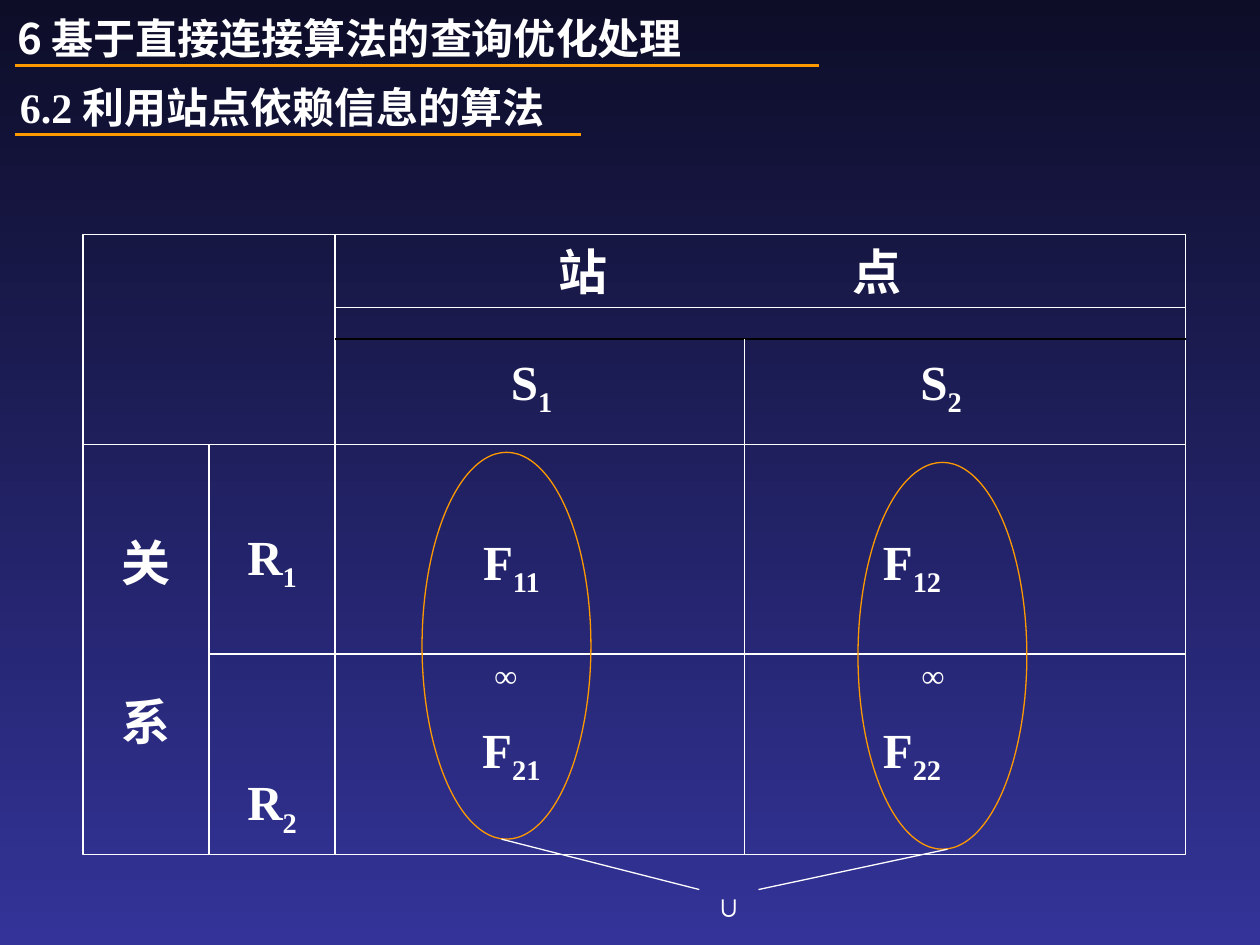
from dataclasses import dataclass

from lxml.etree import SubElement
from pptx import Presentation
from pptx.dml.color import RGBColor
from pptx.enum.shapes import MSO_CONNECTOR, MSO_SHAPE
from pptx.enum.text import MSO_ANCHOR, PP_ALIGN
from pptx.oxml.ns import qn
from pptx.util import Inches, Pt


@dataclass(frozen=True)
class Theme:
    white: str = "FFFFFF"
    black: str = "000000"
    orange: str = "FF9900"
    top: str = "0D0D28"
    bottom: str = "333399"
    latin: str = "Times New Roman"
    chinese: str = "Noto Sans CJK SC"
    heading: int = 24
    label: int = 28
    symbol: int = 18
    rule: float = 1.5
    grid: float = 0.75


THEME = Theme()

# Grid lines of the table, left to right and top to bottom
X = (0.66, 1.66, 2.66, 5.91, 9.41)
Y = (1.86, 2.44, 2.69, 3.53, 5.19, 6.78)
# Column, row, column, row, colour
GRID_LINES = [
    (2, 0, 2, 5, THEME.white),
    (0, 3, 4, 3, THEME.white),
    (2, 2, 4, 2, THEME.black),
    (1, 3, 1, 5, THEME.white),
    (1, 4, 4, 4, THEME.white),
    (3, 2, 3, 5, THEME.white),
]

TITLE = [("6 基于直接连接算法的查询优化处理", THEME.chinese)]
SUBTITLE = [("6.2 ", THEME.latin), ("利用站点依赖信息的算法", THEME.chinese)]
HEADING_RULES = [(6.5, 0.52), (4.61, 1.07)]
HEADER = ["站", "点"]
# Rows of labels ("_" starts a subscript), box, tab stops, space between rows
LABEL_BLOCKS = [
    ([["关"], ["系"]], (X[0], 4.18, 1, 2.1), (), 57),
    ([["S_1", "S_2"]], (X[2], 2.74, 6.75, 0.57), (1.46, 4.71), 0),
    ([["F_11", "F_12"], ["F_21", "F_22"]], (X[2], 4.17, 6.75, 2), (1.3, 4.48), 69),
    ([["R_1"], ["R_2"]], (X[1], 4.13, 1, 2.5), (), 102),
]
ELLIPSE_SIZE = (1.34, 3.07)
ELLIPSES = [(6.81, 3.67), (3.35, 3.59)]
UNION_LINES = [(3.98, 6.66, 5.55, 7.06), (7.52, 6.74, 6.02, 7.06)]
SYMBOLS = [("∪", 5.55, 6.98), ("∞", 3.78, 5.16), ("∞", 7.17, 5.16)]


def color(value):
    return RGBColor.from_string(value)


def add_run(paragraph, text, size, font=THEME.latin, subscript=False):
    run = paragraph.add_run()
    run.text = text
    run.font.size, run.font.bold, run.font.name = Pt(size), True, font
    run.font.color.rgb = color(THEME.white)
    properties = run._r.get_or_add_rPr()
    SubElement(properties, qn("a:ea"), typeface=THEME.chinese)
    if subscript:
        properties.set("baseline", "-25000")


def add_labels(paragraph, labels, tabs=()):
    """Centre one label, or centre each label on its own tab stop."""
    paragraph.alignment = PP_ALIGN.LEFT if tabs else PP_ALIGN.CENTER
    if tabs:
        tab_list = SubElement(paragraph._p.get_or_add_pPr(), qn("a:tabLst"))
        for position in tabs:
            SubElement(tab_list, qn("a:tab"), pos=str(Inches(position)), algn="ctr")
    for label in labels:
        base, _, index = label.partition("_")
        font = THEME.latin if base.isascii() else THEME.chinese
        add_run(paragraph, ("\t" if tabs else "") + base, THEME.label, font)
        if index:
            add_run(paragraph, index, THEME.label, subscript=True)


def add_text_box(slide, box):
    frame = slide.shapes.add_textbox(*map(Inches, box)).text_frame
    frame.word_wrap = True
    return frame


def add_line(slide, ends, line_color=THEME.white, width=THEME.grid):
    line = slide.shapes.add_connector(MSO_CONNECTOR.STRAIGHT, *map(Inches, ends))
    line.line.color.rgb = color(line_color)
    line.line.width = Pt(width)
    SubElement(line._element.spPr, qn("a:effectLst"))


def add_outline(slide, kind, box, line_color):
    shape = slide.shapes.add_shape(kind, *map(Inches, box))
    shape.shadow.inherit = False
    shape.fill.background()
    shape.line.color.rgb = color(line_color)
    shape.line.width = Pt(THEME.grid)
    return shape


def add_background(slide):
    fill = slide.background.fill
    fill.gradient()
    fill.gradient_angle = 270
    for stop, value in zip(fill.gradient_stops, (THEME.top, THEME.bottom)):
        stop.color.rgb = color(value)
    fill.gradient_stops[0].position, fill.gradient_stops[1].position = 0, 1


def add_headings(slide):
    title = slide.shapes.title
    title.left, title.top, title.width, title.height = map(Inches, (0.04, 0.05, 6.69, 0.5))
    subtitle = add_text_box(slide, (0.06, 0.6, 5, 0.5))
    for frame, runs in ((title.text_frame, TITLE), (subtitle, SUBTITLE)):
        frame.vertical_anchor = MSO_ANCHOR.TOP
        frame.paragraphs[0].alignment = PP_ALIGN.LEFT
        for text, font in runs:
            add_run(frame.paragraphs[0], text, THEME.heading, font)
    for right, y in HEADING_RULES:
        add_line(slide, (0.12, y, right, y), THEME.orange, THEME.rule)


def add_site_table(slide):
    rectangle = MSO_SHAPE.RECTANGLE
    add_outline(slide, rectangle, (X[0], Y[0], X[-1] - X[0], Y[-1] - Y[0]), THEME.white)
    for x1, y1, x2, y2, line_color in GRID_LINES:
        add_line(slide, (X[x1], Y[y1], X[x2], Y[y2]), line_color)
    header = add_outline(slide, rectangle, (X[2], Y[0], X[-1] - X[2], Y[1] - Y[0]), THEME.white)
    add_labels(header.text_frame.paragraphs[0], HEADER, (1.87, 4.2))
    for rows, box, tabs, gap in LABEL_BLOCKS:
        frame = add_text_box(slide, box)
        for number, labels in enumerate(rows):
            paragraph = frame.add_paragraph() if number else frame.paragraphs[0]
            if number:
                paragraph.space_before = Pt(gap)
            add_labels(paragraph, labels, tabs)


def add_joins(slide):
    for position in ELLIPSES:
        add_outline(slide, MSO_SHAPE.OVAL, position + ELLIPSE_SIZE, THEME.orange)
    for ends in UNION_LINES:
        add_line(slide, ends)
    for symbol, left, top in SYMBOLS:
        paragraph = add_text_box(slide, (left, top, 0.47, 0.4)).paragraphs[0]
        paragraph.alignment = PP_ALIGN.CENTER
        add_run(paragraph, symbol, THEME.symbol)


def main():
    presentation = Presentation()
    presentation.slide_width, presentation.slide_height = Inches(10), Inches(7.5)
    slide = presentation.slides.add_slide(presentation.slide_layouts[5])
    add_background(slide)
    add_headings(slide)
    add_site_table(slide)
    add_joins(slide)
    presentation.save("out.pptx")


if __name__ == "__main__":
    main()
